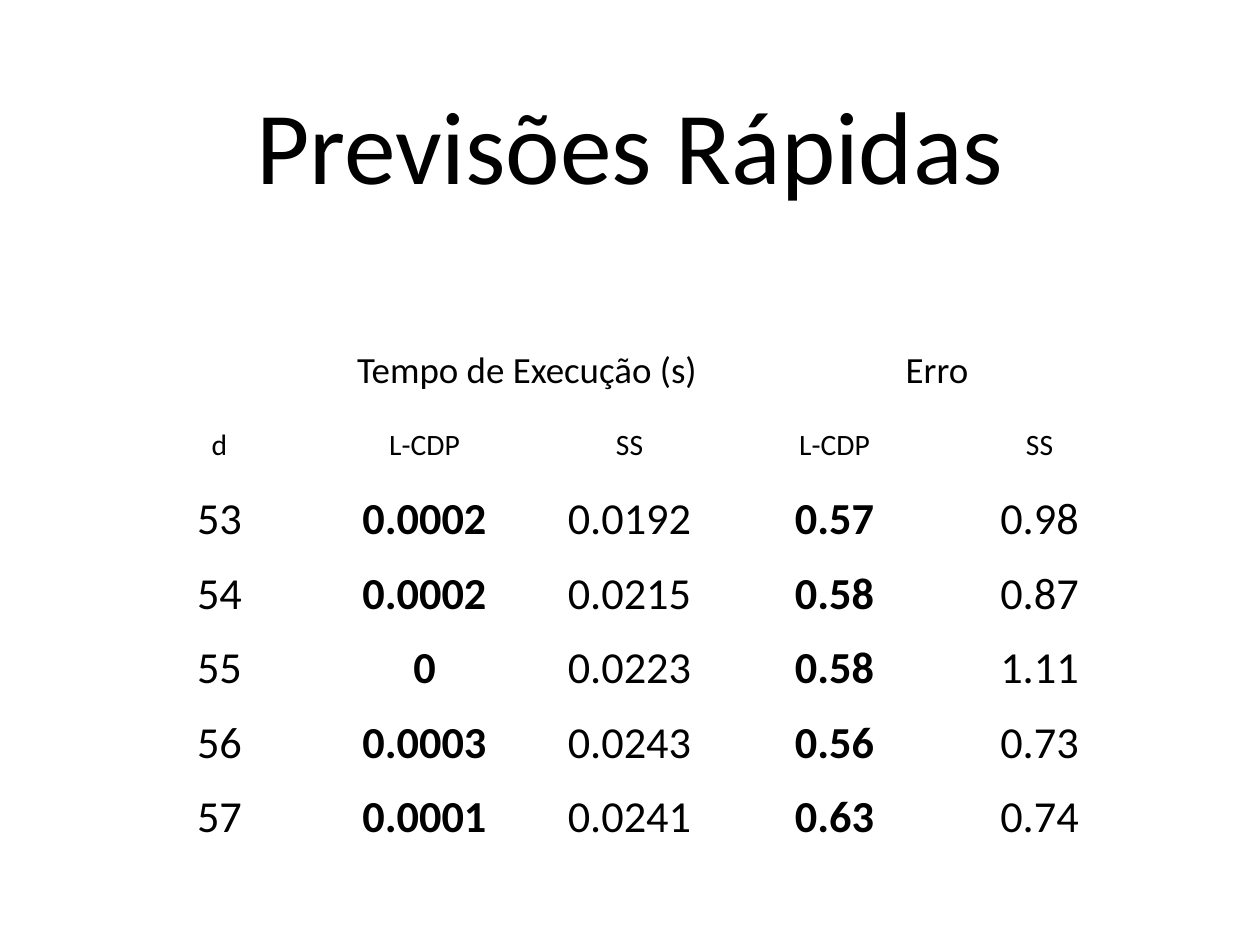
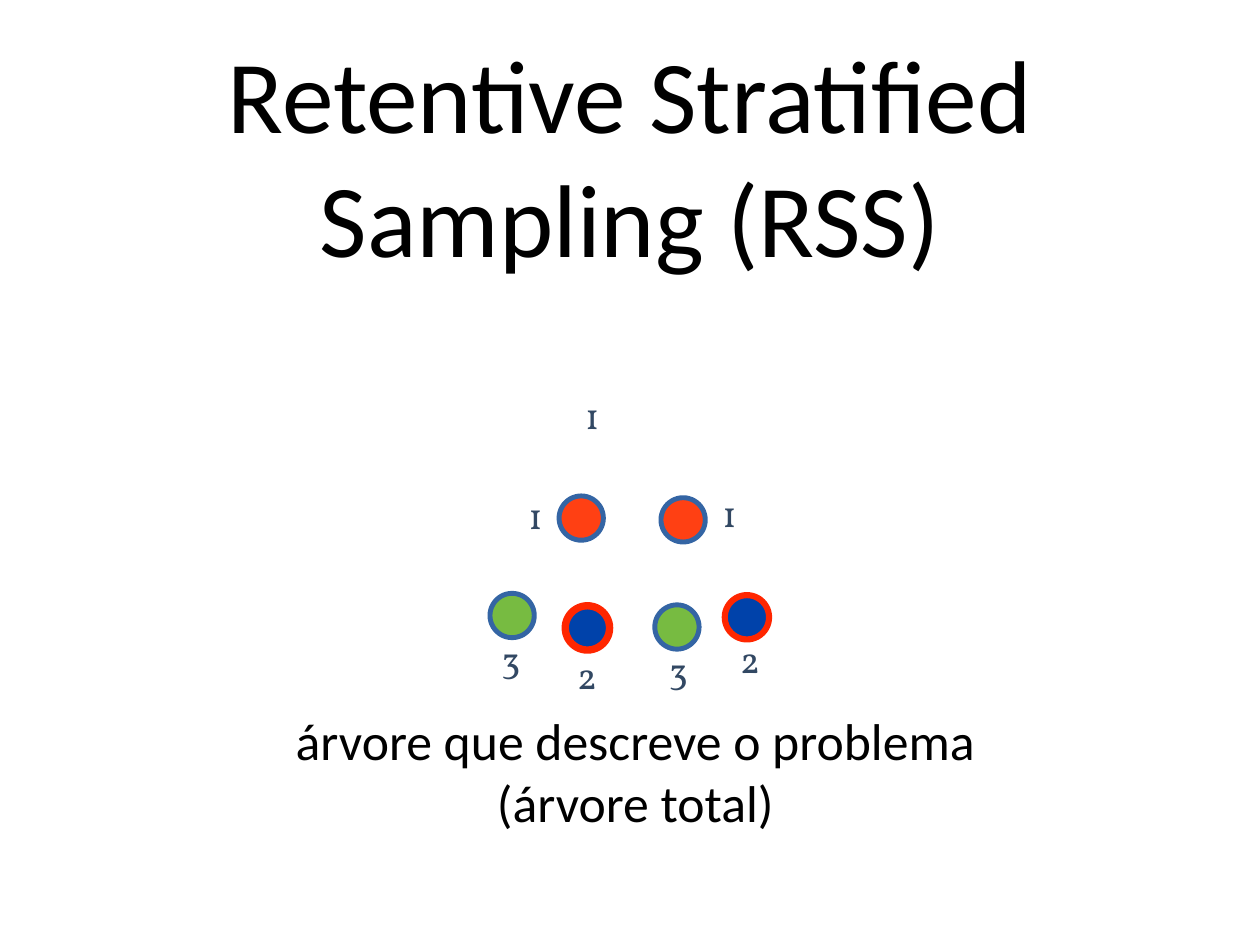
"""Builds two slides: a table of fast predictions and a sampling tree."""
from pptx import Presentation
from pptx.dml.color import RGBColor
from pptx.enum import shapes, text
from pptx.util import Inches, Pt

COLORS = {"black": "000000", "white": "FFFFFF", "label": "324863",
          "orange": "FF4013", "green": "77BB41", "navy": "0042AA",
          "blue": "3465A4", "red": "FF2600"}


class Deck:
    """Holds the style and the current slide."""

    font, label_font, inset = "Calibri", "Vollkorn", 0.06

    def __init__(self, width, height):
        self.prs = Presentation()
        self.prs.slide_width, self.prs.slide_height = Inches(width), Inches(height)
        self.s = None

    def color(self, name):
        return RGBColor.from_string(COLORS[name])

    def margins(self, frame, inset):
        frame.margin_left = frame.margin_right = Inches(inset)
        frame.margin_top = frame.margin_bottom = Inches(inset)
        frame.vertical_anchor = text.MSO_ANCHOR.MIDDLE

    def add_lines(self, tf, lines, size, bold=False, font=font, color="black"):
        for i, line in enumerate(lines):
            p = tf.paragraphs[0] if i == 0 else tf.add_paragraph()
            p.alignment = text.PP_ALIGN.CENTER
            r = p.add_run()
            r.text = line
            r.font.name, r.font.size, r.font.bold = font, Pt(size), bold
            r.font.color.rgb = self.color(color)

    def slide(self, title, height):
        self.s = self.prs.slides.add_slide(self.prs.slide_layouts[5])
        sp = self.s.shapes.title
        sp.left, sp.top = Inches(1.39), Inches(0.28)
        sp.width, sp.height = Inches(11.44), Inches(height)
        tf = sp.text_frame
        tf.word_wrap, tf.auto_size = True, text.MSO_AUTO_SIZE.NONE
        self.margins(tf, self.inset)
        self.add_lines(tf, [title], 84)

    def label(self, lines, x, y, w, h, size, inset=0, **style):
        tf = self.s.shapes.add_textbox(*map(Inches, (x, y, w, h))).text_frame
        tf.word_wrap = False
        self.margins(tf, inset)
        self.add_lines(tf, lines, size, **style)

    def node(self, x, y, fill, line, weight, size=0.5):
        sp = self.s.shapes.add_shape(shapes.MSO_SHAPE.OVAL,
                                     *map(Inches, (x, y, size, size)))
        sp.shadow.inherit = False
        sp.fill.solid()
        sp.fill.fore_color.rgb = self.color(fill)
        sp.line.color.rgb = self.color(line)
        sp.line.width = Pt(weight)

    def table(self, rows, x, y, w, h, sizes, merges, bold_cols):
        table = self.s.shapes.add_table(len(rows), len(rows[0]),
                                        *map(Inches, (x, y, w, h))).table
        table.first_row = table.horz_banding = False
        for row, col in merges:
            table.cell(row, col).merge(table.cell(row, col + 1))
        for i, row in enumerate(rows):
            size = sizes[min(i, len(sizes) - 1)]
            for j, value in enumerate(row):
                cell = table.cell(i, j)
                cell.fill.solid()
                cell.fill.fore_color.rgb = self.color("white")
                self.margins(cell, self.inset)
                if value:
                    bold = i >= len(sizes) - 1 and j in bold_cols
                    self.add_lines(cell.text_frame, [value], size, bold)


def predictions(deck):
    """Adds the slide with the table of times and errors."""
    deck.slide("Previsões Rápidas", 2.67)
    rows = [["", "Tempo de Execução (s)", "", "Erro", ""],
            ["d", "L-CDP", "SS", "L-CDP", "SS"],
            ["53", "0.0002", "0.0192", "0.57", "0.98"],
            ["54", "0.0002", "0.0215", "0.58", "0.87"],
            ["55", "0", "0.0223", "0.58", "1.11"],
            ["56", "0.0003", "0.0243", "0.56", "0.73"],
            ["57", "0.0001", "0.0241", "0.63", "0.74"]]
    deck.table(rows, 1.32, 3.77, 11.57, 5.88, sizes=(30, 24, 36),
               merges=((0, 1), (0, 3)), bold_cols=(1, 3))


def sampling(deck):
    """Adds the slide with the tree nodes and their weights."""
    deck.slide("Retentive Stratified Sampling (RSS)", 2.93)
    for x, y, fill, line, weight in (
            (6.31, 5.6, "orange", "blue", 4), (7.46, 5.62, "orange", "blue", 4),
            (5.53, 6.7, "green", "blue", 4), (6.38, 6.84, "navy", "red", 6),
            (8.18, 6.72, "navy", "red", 5), (7.39, 6.83, "green", "blue", 4)):
        deck.node(x, y, fill, line, weight)
    for value, x, y in (("1", 5.88, 5.48), ("1", 8.07, 5.45), ("3", 5.6, 7.1),
                        ("2", 6.46, 7.28), ("3", 7.49, 7.23), ("2", 8.3, 7.1),
                        ("1", 6.52, 4.35)):
        deck.label([value], x, y, 0.33, 0.67, 30,
                   font=deck.label_font, color="label")
    deck.label(["árvore que descreve o problema", "(árvore total)"],
               3.18, 7.97, 7.98, 1.47, 42, inset=deck.inset)


def main():
    """Builds and saves the deck."""
    deck = Deck(14.22, 10.67)
    predictions(deck)
    sampling(deck)
    deck.prs.save("out.pptx")


if __name__ == "__main__":
    main()
